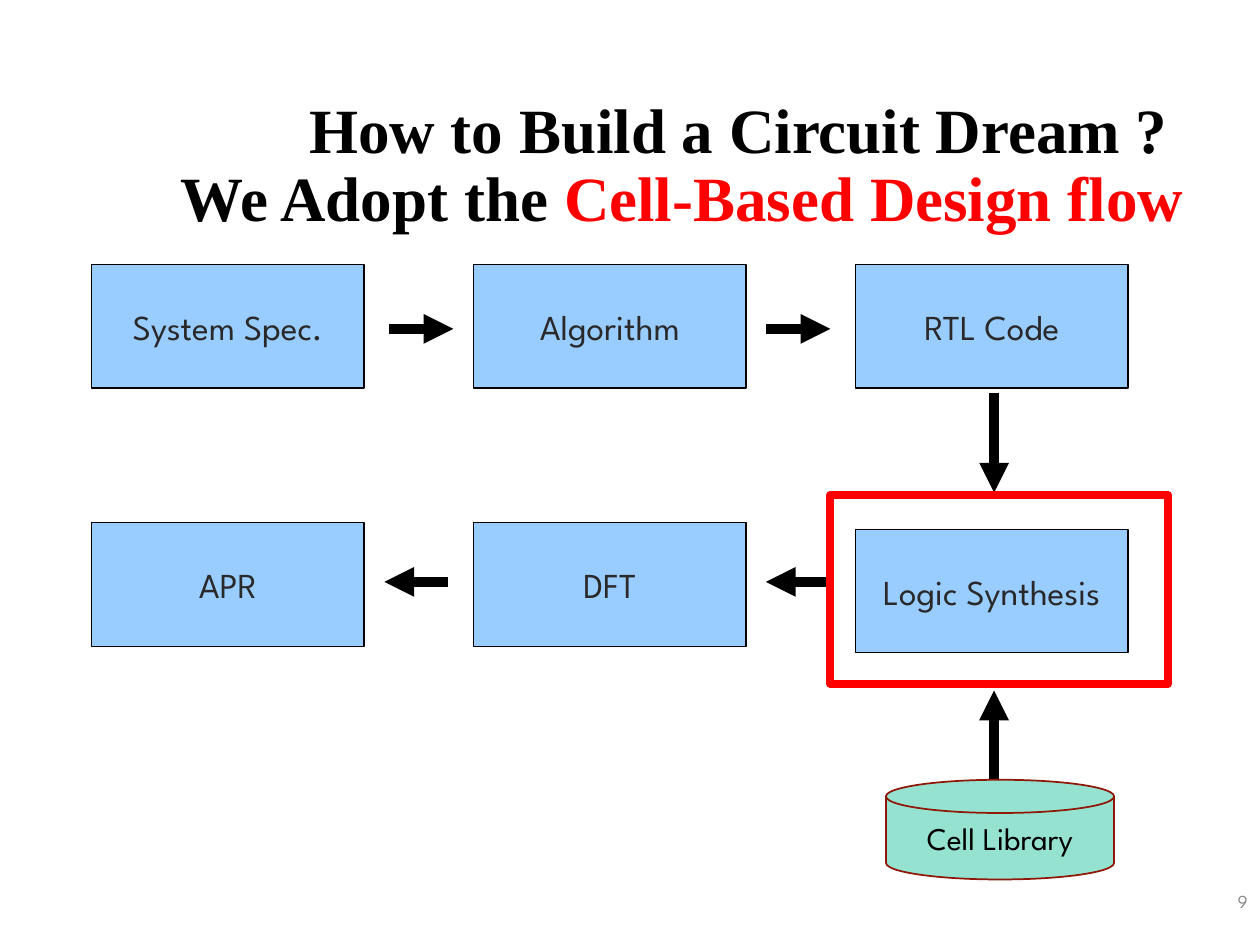
"""Build the slide on the cell-based circuit design flow."""
from lxml import etree
from pptx import Presentation
from pptx.dml.color import RGBColor
from pptx.enum.shapes import MSO_CONNECTOR, MSO_SHAPE
from pptx.enum.text import MSO_ANCHOR, PP_ALIGN
from pptx.oxml.ns import qn
from pptx.util import Cm, Pt

ROUND = MSO_SHAPE.ROUNDED_RECTANGLE
RECT = MSO_SHAPE.RECTANGLE
DISK = MSO_SHAPE.FLOWCHART_MAGNETIC_DISK
LINE = MSO_CONNECTOR.STRAIGHT
MID = MSO_ANCHOR.MIDDLE
RIGHT = PP_ALIGN.RIGHT
CENTER = PP_ALIGN.CENTER

SANS = "League Spartan"
HEX = {
    "black": "000000", "red": "FF0000", "blue": "99CCFF", "ink": "292929",
    "gray": "888888", "mint": "95E2D1", "rust": "8F1809",
}
COLOR = {name: RGBColor.from_string(code) for name, code in HEX.items()}
FORMAT = {
    "title": {"name": "Times New Roman", "size": Pt(36), "bold": True},
    "page": {"name": SANS, "size": Pt(10.5)},
    "step": {"name": SANS, "size": Pt(20)},
    "disk": {"name": SANS, "size": Pt(18)},
}


def write(shape, style, align, lines):
    """Fill a shape with one paragraph of lines, each a list of (text, colour)."""
    frame = shape.text_frame
    frame.word_wrap = True
    frame.vertical_anchor = MID
    para = frame.paragraphs[0]
    para.alignment = align
    for row, parts in enumerate(lines):
        if row:
            para.add_line_break()
        for text, color in parts:
            run = para.add_run()
            run.text = text
            for key, value in FORMAT[style].items():
                setattr(run.font, key, value)
            run.font.color.rgb = COLOR[color]
    return para


def draw(kind, place, fill, line, width):
    """Add a preset shape, hollow when fill is None."""
    shape = slide.shapes.add_shape(kind, *map(Cm, place))
    shape.shadow.inherit = False
    if fill:
        shape.fill.solid()
        shape.fill.fore_color.rgb = COLOR[fill]
    else:
        shape.fill.background()
    shape.line.color.rgb = COLOR[line]
    shape.line.width = Pt(width)
    return shape


deck = Presentation()
deck.slide_width, deck.slide_height = Cm(25.4), Cm(19.05)
slide = deck.slides.add_slide(deck.slide_layouts[6])

title = slide.shapes.add_textbox(Cm(1.3), Cm(1.75), Cm(22.81), Cm(3.23))
para = write(title, "title", RIGHT, [
    [("How to Build a Circuit Dream ? ", "black")],
    [("We Adopt the ", "black"), ("Cell-Based Design flow", "red")],
])
para.line_spacing = 0.9

page = slide.shapes.add_textbox(Cm(19.48), Cm(17.65), Cm(5.92), Cm(1.02))
write(page, "page", RIGHT, [[("9", "gray")]])

steps = [
    ("System Spec.", 0, 5.33), ("Algorithm", 1, 5.33), ("RTL Code", 2, 5.33),
    ("Logic Synthesis", 2, 10.67), ("DFT", 1, 10.54), ("APR", 0, 10.54),
]
for text, col, top in steps:
    box = draw(ROUND, (1.85 + 7.7 * col, top, 5.49, 2.49), "blue", "black", 0.75)
    box.adjustments[0] = 0
    write(box, "step", CENTER, [[(text, "ink")]])

arrows = [
    (7.85, 6.63, 9.14, 6.63), (15.44, 6.63, 16.74, 6.63),
    (20.04, 7.92, 20.04, 9.93), (16.74, 11.73, 15.44, 11.73),
    (9.04, 11.73, 7.75, 11.73), (20.04, 15.72, 20.04, 13.92),
]
for ends in arrows:
    arrow = slide.shapes.add_connector(LINE, *map(Cm, ends))
    arrow.line.color.rgb = COLOR["black"]
    arrow.line.width = Pt(5.67)
    tip = etree.SubElement(arrow.line._get_or_add_ln(), qn("a:tailEnd"))
    tip.set("type", "triangle")
    etree.SubElement(arrow._element.spPr, qn("a:effectLst"))

draw(RECT, (16.74, 9.98, 6.81, 3.81), None, "red", 4.5)
disk = draw(DISK, (17.86, 15.72, 4.6, 2.01), "mint", "rust", 1)
write(disk, "disk", CENTER, [[("Cell Library", "black")]])

deck.save("out.pptx")
